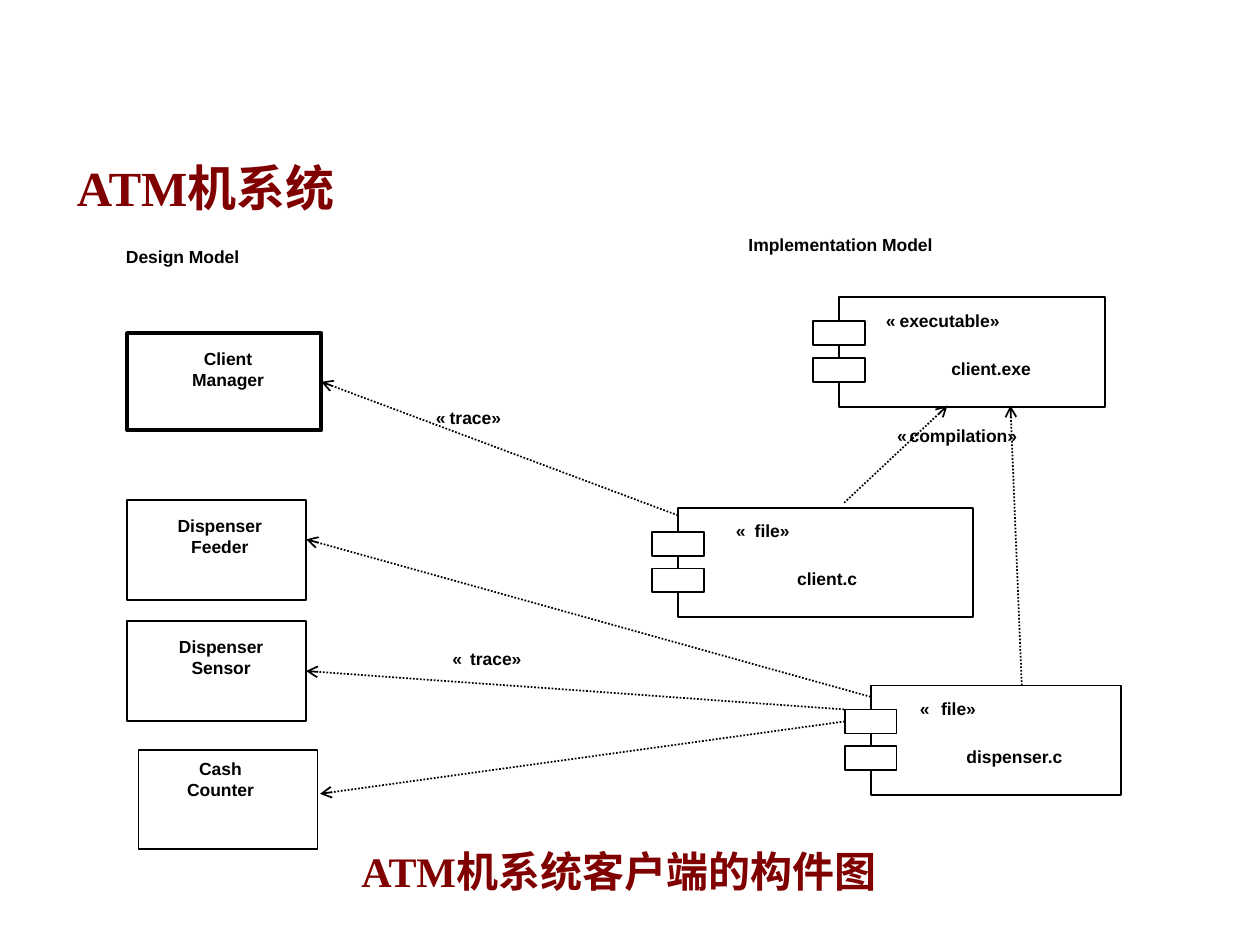
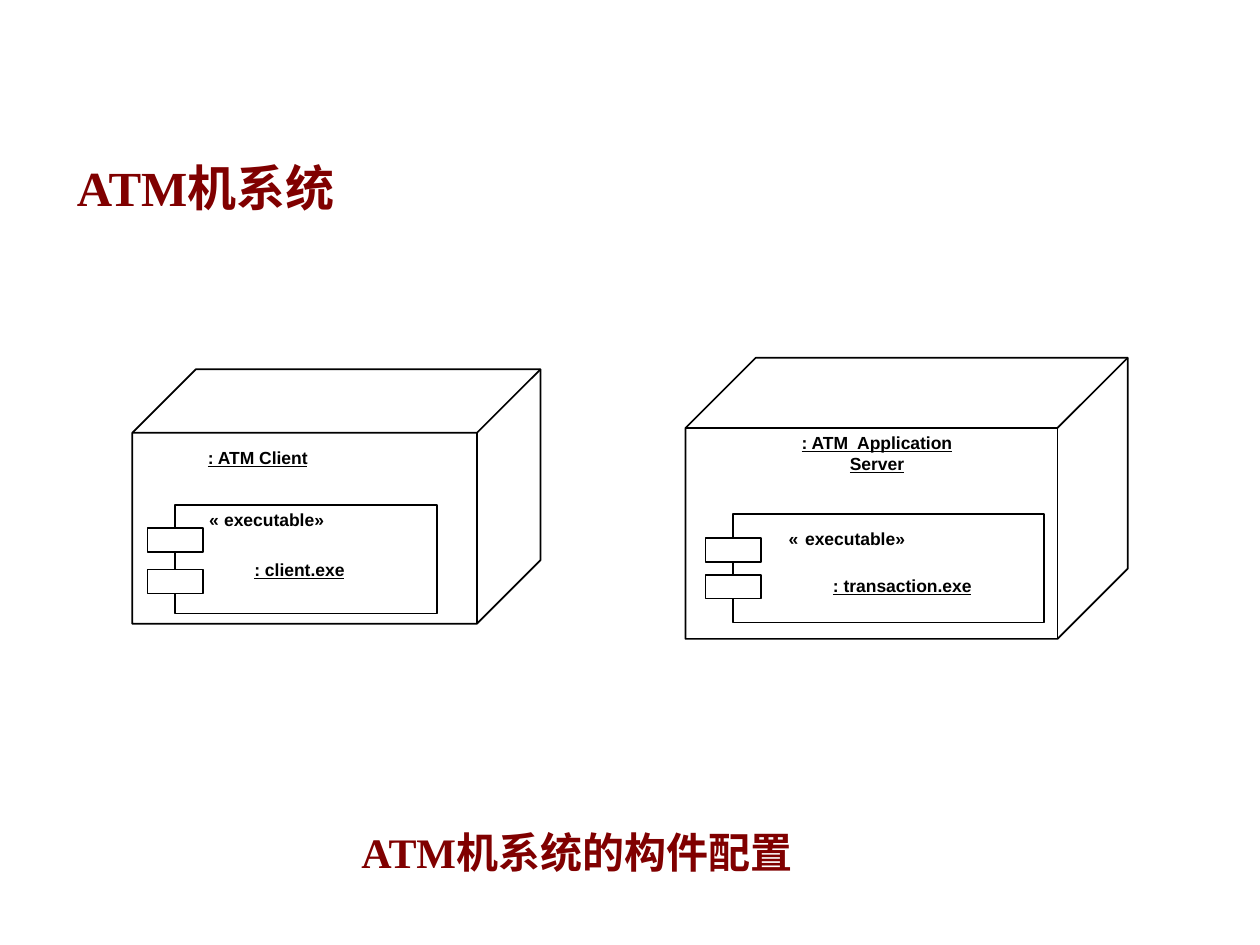
from dataclasses import dataclass

from lxml import etree
from pptx import Presentation
from pptx.dml.color import RGBColor
from pptx.enum import dml, shapes, text
from pptx.oxml import ns
from pptx.util import Pt

COLORS = {"ink": "000000", "paper": "FFFFFF", "title": "800000"}
SANS, SERIF = "Arial", "Times New Roman"
TAB_H = 13.7
ROW_H = 24


@dataclass
class Label:
    x: float
    y: float
    w: float
    words: str
    center: bool = False
    under: bool = False


@dataclass
class Stereo:
    """A guillemet and its keyword, set apart by a gap."""
    x: float
    y: float
    gap: float
    word: str


@dataclass
class Box:
    x: float
    y: float
    w: float
    h: float
    label: Label
    line: float = 1


@dataclass
class Unit:
    """A component: body with two tabs on its left edge."""
    x: float
    y: float
    w: float
    h: float
    stereo: Stereo
    label: Label
    tab_w: float = 29.5
    drop: float = 13.7
    pitch: float = 20.9


@dataclass
class Node:
    x: float
    y: float
    w: float
    h: float
    label: Label
    unit: Unit


@dataclass
class Link:
    start: tuple[float, float]
    end: tuple[float, float]
    source: str = ""
    target: str = ""


def rgb(name: str) -> RGBColor:
    return RGBColor.from_string(COLORS[name])


def write(frame, words: str, face: str, size: float, color: str, center=False, under=False) -> None:
    frame.text = words
    for para in frame.paragraphs:
        para.alignment = text.PP_ALIGN.CENTER if center else text.PP_ALIGN.LEFT
        font = para.font
        font.name, font.size, font.bold = face, Pt(size), True
        font.color.rgb = rgb(color)
        if under:
            font.underline = True


def add_label(slide, item: Label) -> None:
    rows = item.words.count("\n") + 1
    box = slide.shapes.add_textbox(Pt(item.x), Pt(item.y), Pt(item.w), Pt(ROW_H * rows))
    frame = box.text_frame
    frame.word_wrap = True
    frame.margin_left = frame.margin_right = frame.margin_top = frame.margin_bottom = 0
    write(frame, item.words, SANS, 10, "ink", item.center, item.under)


def add_stereo(slide, item: Stereo) -> None:
    add_label(slide, Label(item.x, item.y, 12, "«"))
    add_label(slide, Label(item.x + item.gap, item.y, 105, item.word + "»"))


def add_outline(slide, x: float, y: float, w: float, h: float, line: float = 1,
                kind=shapes.MSO_SHAPE.RECTANGLE, fill: str = ""):
    shape = slide.shapes.add_shape(kind, Pt(x), Pt(y), Pt(w), Pt(h))
    shape.shadow.inherit = False
    if fill:
        shape.fill.solid()
        shape.fill.fore_color.rgb = rgb(fill)
    else:
        shape.fill.background()
    shape.line.color.rgb = rgb("ink")
    shape.line.width = Pt(line)
    return shape


def add_box(slide, item: Box):
    shape = add_outline(slide, item.x, item.y, item.w, item.h, item.line)
    add_label(slide, item.label)
    return shape


def add_unit(slide, item: Unit):
    """Draw the component and return its upper tab."""
    add_outline(slide, item.x, item.y, item.w, item.h)
    add_label(slide, item.label)
    add_stereo(slide, item.stereo)
    tabs = [add_outline(slide, item.x - item.tab_w / 2, item.y + item.drop + i * item.pitch,
                        item.tab_w, TAB_H, fill="paper") for i in range(2)]
    return tabs[0]


def add_node(slide, item: Node) -> None:
    add_outline(slide, item.x, item.y, item.w, item.h, kind=shapes.MSO_SHAPE.CUBE)
    add_label(slide, item.label)
    add_unit(slide, item.unit)


def add_link(slide, item: Link, known: dict) -> None:
    """Draw a dotted arrow, joined left to right where ends are named."""
    line = slide.shapes.add_connector(shapes.MSO_CONNECTOR.STRAIGHT,
                                      *(Pt(v) for v in item.start + item.end))
    if item.source:
        line.begin_connect(known[item.source], 1)
    if item.target:
        line.end_connect(known[item.target], 3)
    line.line.color.rgb = rgb("ink")
    line.line.width = Pt(1)
    line.line.dash_style = dml.MSO_LINE.ROUND_DOT
    props = line.element.spPr
    etree.SubElement(props.find(ns.qn("a:ln")), ns.qn("a:tailEnd"), type="arrow")
    etree.SubElement(props, ns.qn("a:effectLst"))


def add_page(deck, caption: str, top: float, width: float):
    slide = deck.slides.add_slide(deck.slide_layouts[5])
    title = slide.shapes.title
    title.left, title.top, title.width, title.height = Pt(36.7), Pt(54.7), Pt(653.8), Pt(72.7)
    frame = title.text_frame
    frame.auto_size = text.MSO_AUTO_SIZE.NONE
    frame.vertical_anchor = text.MSO_ANCHOR.BOTTOM
    write(frame, "ATM机系统", SERIF, 28, "title")
    frame = slide.shapes.add_textbox(Pt(199.4), Pt(top), Pt(width), Pt(36)).text_frame
    frame.word_wrap = False
    frame.auto_size = text.MSO_AUTO_SIZE.SHAPE_TO_FIT_TEXT
    write(frame, caption, SERIF, 24, "title")
    return slide


BOXES = {
    "sensor": Box(72.7, 355, 102.2, 56.9, Label(83.5, 363.6, 85.7, "Dispenser\nSensor", True)),
    "feeder": Box(72.7, 285.8, 102.2, 56.9, Label(83.5, 294.5, 84.2, "Dispenser\nFeeder", True)),
    "manager": Box(72.7, 190.5, 110.9, 55.4, Label(87.1, 198.7, 86.4, "Client\nManager", True), 2.25),
    "counter": Box(79.2, 428.4, 102.2, 56.9, Label(90, 433.4, 72, "Cash\nCounter", True)),
}
UNITS = {
    "dispenser": Unit(497.5, 391.7, 143.3, 62.6, Stereo(525.6, 398.9, 12.2, "file"),
                      Label(515.5, 426.2, 128.2, "dispenser.c", True)),
    "client": Unit(387.4, 290.2, 168.5, 62.6, Stereo(420.5, 297.4, 10.8, "file"),
                   Label(426.2, 324.7, 92.9, "client.c", True)),
    "exe": Unit(479.5, 169.9, 151.9, 62.6, Stereo(506.2, 177.1, 7.9, "executable"),
                Label(504, 204.5, 124.6, "client.exe", True)),
}
LINKS = [
    Link((482.4, 412), (182.9, 453.6), source="dispenser"),
    Link((482.4, 405.4), (175, 384.5), target="sensor"),
    Link((497.5, 398.2), (175, 308.2)),
    Link((387.4, 294.5), (182.9, 218.2), target="manager"),
    Link((482.4, 287.3), (541.4, 231.8)),
    Link((583.9, 391.7), (577.4, 231.8)),
]
HEADS = [Label(72, 140.4, 144, "Design Model"),
         Label(427.7, 133.9, 183.6, "Implementation Model")]
NOTES = [Stereo(258.5, 370.1, 10.1, "trace"), Stereo(249.1, 232.6, 7.9, "trace"),
         Stereo(512.6, 242.6, 7.2, "compilation")]
NODES = [
    Node(75.6, 211, 233.3, 145.4, Label(118.8, 255.6, 131, ": ATM Client", under=True),
         Unit(100.1, 288.7, 149.8, 61.9, Stereo(119.5, 290.9, 8.6, "executable"),
              Label(121, 319.7, 100.1, ": client.exe", True, True), 31.7, 13, 23.8)),
    Node(391.7, 204.5, 252.7, 160.6,
         Label(414.7, 247, 172.8, ": ATM  Application\nServer", True, True),
         Unit(419, 293.8, 177.8, 61.9, Stereo(450.7, 301.7, 9.4, "executable"),
              Label(437.8, 328.3, 155.5, ": transaction.exe", True, True), 31.7)),
]


def main() -> None:
    deck = Presentation()
    deck.slide_width, deck.slide_height = Pt(720), Pt(540)

    slide = add_page(deck, "ATM机系统客户端的构件图", 479.5, 316.1)
    known = {name: add_box(slide, box) for name, box in BOXES.items()}
    known |= {name: add_unit(slide, unit) for name, unit in UNITS.items()}
    for head in HEADS:
        add_label(slide, head)
    for link in LINKS:
        add_link(slide, link, known)
    for note in NOTES:
        add_stereo(slide, note)

    slide = add_page(deck, "ATM机系统的构件配置", 468.7, 267.8)
    for node in NODES:
        add_node(slide, node)

    deck.save("out.pptx")


if __name__ == "__main__":
    main()
